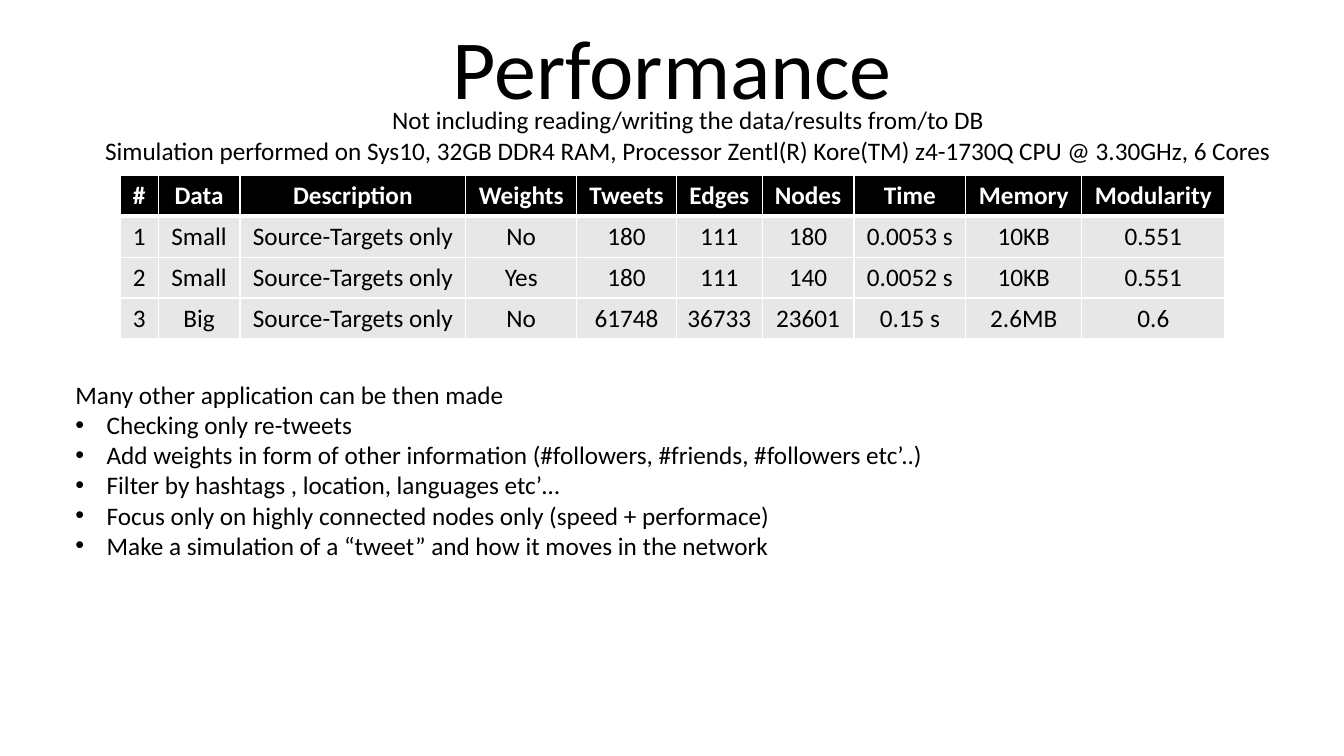
from dataclasses import dataclass

import pptx
import pptx.dml.color
import pptx.enum.text
import pptx.oxml
import pptx.oxml.ns
import pptx.util
from pptx.util import Inches

COLORS = {"text": "000000", "header": "000000", "light": "FFFFFF", "row": "E7E7E7"}
FONT = "Calibri"
ALIGN = pptx.enum.text.PP_ALIGN
ANCHOR = pptx.enum.text.MSO_ANCHOR


@dataclass
class TextStyle:
    size: int = 18
    color: str = "text"
    bold: bool = False
    align: ALIGN = ALIGN.CENTER


@dataclass
class Line:
    text: str
    bullet: bool = False


@dataclass
class Column:
    width: float
    heading: str
    values: tuple[str, str, str]


def rgb(name: str) -> pptx.dml.color.RGBColor:
    return pptx.dml.color.RGBColor.from_string(COLORS[name])


def write_paragraph(paragraph, text: str, style: TextStyle) -> None:
    paragraph.alignment = style.align
    run = paragraph.add_run()
    run.text = text
    run.font.name = FONT
    run.font.size = pptx.util.Pt(style.size)
    run.font.bold = style.bold
    run.font.color.rgb = rgb(style.color)


def add_bullet(paragraph) -> None:
    properties = paragraph._p.get_or_add_pPr()
    properties.set("marL", str(Inches(0.31)))
    properties.set("indent", str(-Inches(0.31)))
    for tag, attribute, value in (("buFont", "typeface", "Arial"), ("buChar", "char", "•")):
        element = pptx.oxml.parse_xml(
            f'<a:{tag} {pptx.oxml.ns.nsdecls("a")} {attribute}="{value}"/>')
        properties.append(element)


def add_text_box(slide, left: float, top: float, width: float, height: float,
                 lines: list[Line], style: TextStyle) -> None:
    box = slide.shapes.add_textbox(Inches(left), Inches(top), Inches(width), Inches(height))
    frame = box.text_frame
    frame.word_wrap = True
    frame.auto_size = pptx.enum.text.MSO_AUTO_SIZE.SHAPE_TO_FIT_TEXT
    for index, line in enumerate(lines):
        paragraph = frame.add_paragraph() if index else frame.paragraphs[0]
        write_paragraph(paragraph, line.text, style)
        if line.bullet:
            add_bullet(paragraph)


def add_borders(cell, top: int, bottom: int) -> None:
    properties = cell._tc.get_or_add_tcPr()
    for side, points in (("L", 1), ("R", 1), ("T", top), ("B", bottom)):
        properties.append(pptx.oxml.parse_xml(
            f'<a:ln{side} {pptx.oxml.ns.nsdecls("a")} w="{pptx.util.Pt(points)}">'
            f'<a:solidFill><a:srgbClr val="{COLORS["light"]}"/></a:solidFill></a:ln{side}>'))


def add_results_table(slide, left: float, top: float, height: float,
                      columns: list[Column]) -> None:
    row_count = 1 + len(columns[0].values)
    width = sum(column.width for column in columns)
    # Rows share the table height equally
    table = slide.shapes.add_table(row_count, len(columns), Inches(left), Inches(top),
                                   Inches(width), Inches(height)).table
    for column_index, column in enumerate(columns):
        table.columns[column_index].width = Inches(column.width)
        for row_index, text in enumerate((column.heading, *column.values)):
            header = row_index == 0
            cell = table.cell(row_index, column_index)
            style = TextStyle(color="light" if header else "text", bold=header)
            write_paragraph(cell.text_frame.paragraphs[0], text, style)
            add_borders(cell, top=3 if row_index == 1 else 1, bottom=3 if header else 1)
            cell.fill.solid()
            cell.fill.fore_color.rgb = rgb("header" if header else "row")


presentation = pptx.Presentation()
presentation.slide_width = Inches(13.33)
presentation.slide_height = Inches(7.5)
slide = presentation.slides.add_slide(presentation.slide_layouts[5])

# Title
title = slide.shapes.title
title.left, title.top, title.width, title.height = map(Inches, (1.67, 0.14, 10, 1.08))
title.text_frame.auto_size = pptx.enum.text.MSO_AUTO_SIZE.NONE
title.text_frame.vertical_anchor = ANCHOR.BOTTOM
title_paragraph = title.text_frame.paragraphs[0]
title_paragraph.line_spacing = 0.9
write_paragraph(title_paragraph, "Performance", TextStyle(size=60))

# Results table
add_results_table(slide, 1.19, 1.74, 1.62, [
    Column(0.38, "#", ("1", "2", "3")),
    Column(0.81, "Data", ("Small", "Small", "Big")),
    Column(2.24, "Description", ("Source-Targets only",) * 3),
    Column(1.1, "Weights", ("No", "Yes", "No")),
    Column(0.99, "Tweets", ("180", "180", "61748")),
    Column(0.85, "Edges", ("111", "111", "36733")),
    Column(0.91, "Nodes", ("180", "140", "23601")),
    Column(1.11, "Time", ("0.0053 s", "0.0052 s", "0.15 s")),
    Column(1.15, "Memory", ("10KB", "10KB", "2.6MB")),
    Column(1.42, "Modularity", ("0.551", "0.551", "0.6")),
])

# Test conditions
add_text_box(slide, -0.35, 0.99, 14.35, 0.71, [
    Line("Not including reading/writing the data/results from/to DB"),
    Line("Simulation performed on Sys10, 32GB DDR4 RAM, "
         "Processor Zentl(R) Kore(TM) z4-1730Q CPU @ 3.30GHz, 6 Cores"),
], TextStyle())

# Further applications
applications = [
    "Checking only re-tweets",
    "Add weights in form of other information (#followers, #friends, #followers etc’..)",
    "Filter by hashtags , location, languages etc’…",
    "Focus only on highly connected nodes only (speed + performace)",
    "Make a simulation of a “tweet” and how it moves in the network",
]
add_text_box(slide, 0.65, 3.71, 12.17, 2.22,
             [Line("Many other application can be then made"),
              *(Line(text, bullet=True) for text in applications)],
             TextStyle(align=ALIGN.LEFT))

presentation.save("out.pptx")
